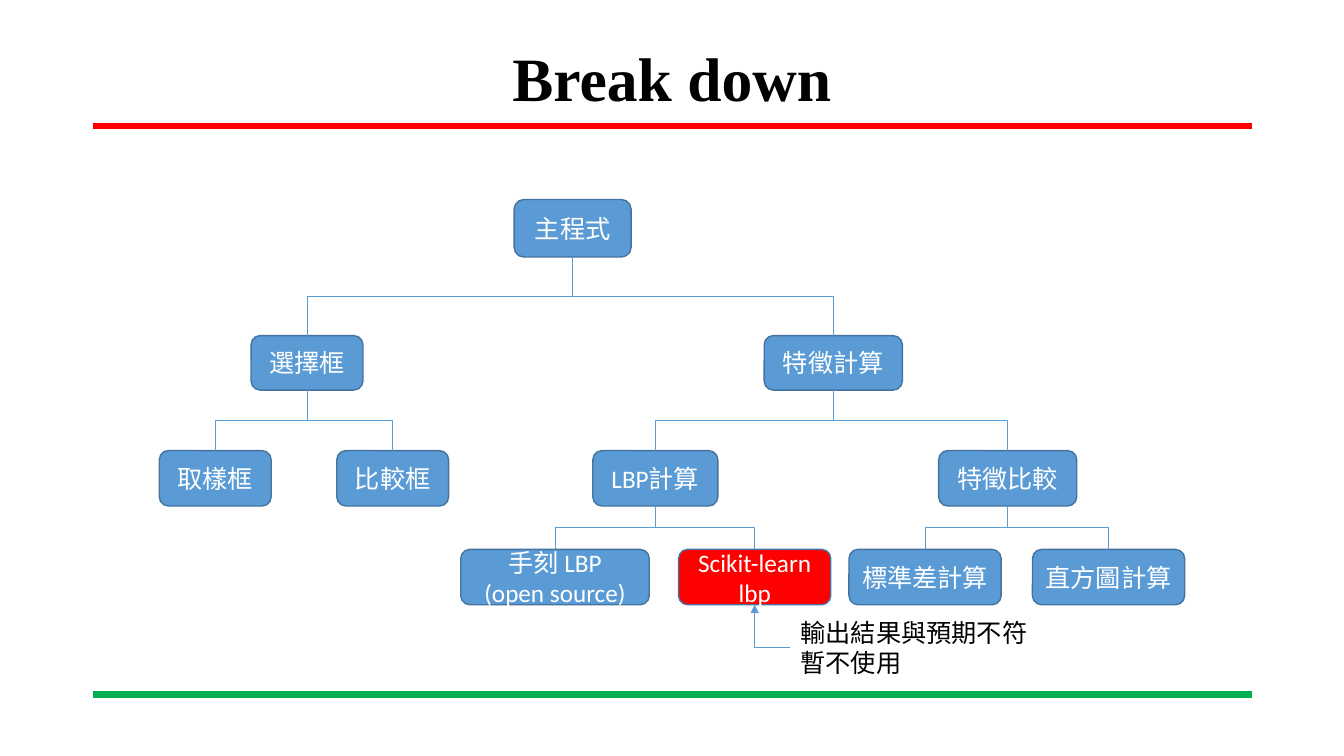
"""Builds the "Break down" slide: a program tree with one annotated node."""
import lxml.etree
import pptx
import pptx.dml.color
import pptx.enum.shapes
import pptx.enum.text
import pptx.oxml.ns
import pptx.util

Inches = pptx.util.Inches
Pt = pptx.util.Pt
qn = pptx.oxml.ns.qn
SHAPE = pptx.enum.shapes.MSO_SHAPE
CONNECTOR = pptx.enum.shapes.MSO_CONNECTOR
ALIGN = pptx.enum.text.PP_ALIGN
ANCHOR = pptx.enum.text.MSO_ANCHOR
AUTO_SIZE = pptx.enum.text.MSO_AUTO_SIZE

TITLE = "Break down"
NOTE = ["輸出結果與預期不符", "暫不使用"]
NOTED_NODE = "sklearn"

# key: (lines, parent, level, left, width)
NODES = {
    "main": (["主程式"], None, 0, 5.1, 1.16),
    "select": (["選擇框"], "main", 1, 2.49, 1.11),
    "feature": (["特徵計算"], "main", 1, 7.58, 1.37),
    "sample": (["取樣框"], "select", 2, 1.58, 1.11),
    "compare": (["比較框"], "select", 2, 3.34, 1.11),
    "lbp": (["LBP計算"], "feature", 2, 5.88, 1.24),
    "match": (["特徵比較"], "feature", 2, 9.31, 1.37),
    "handmade": (["手刻 LBP", "(open source)"], "lbp", 3, 4.57, 1.87),
    "sklearn": (["Scikit-learn", "lbp"], "lbp", 3, 6.73, 1.51),
    "deviation": (["標準差計算"], "match", 3, 8.42, 1.51),
    "histogram": (["直方圖計算"], "match", 3, 10.24, 1.51),
}
LEVELS = [(1.98, 0.57), (3.33, 0.54), (4.47, 0.55), (5.45, 0.55)]
RULES = [(1.25, "top_rule"), (6.89, "bottom_rule")]
RULE_ENDS = (0.92, 12.42)
TITLE_BOX = (2, 0.11, 9.33, 1.4)
NOTE_BOX = (7.84, 6.07, 2.58, 0.71)

THEME = {
    "node": "5B9BD5", "edge": "43739E", "alert": "FF0000",
    "light": "FFFFFF", "dark": "000000",
    "top_rule": "FF0000", "bottom_rule": "00B050",
    "title_font": "Times New Roman", "font": "Calibri", "cjk_font": "Noto Sans CJK SC",
    "title_size": 44, "body_size": 18,
    "rule_width": 4.5, "edge_width": 1, "link_width": 0.5,
}


def rgb(name):
    return pptx.dml.color.RGBColor.from_string(THEME[name])


def write(frame, lines, size="body_size", font="font", color="dark", bold=False,
          align=ALIGN.LEFT, anchor=ANCHOR.TOP, spacing=None):
    frame.word_wrap = True
    frame.vertical_anchor = anchor
    for index, line in enumerate(lines):
        paragraph = frame.paragraphs[0] if index == 0 else frame.add_paragraph()
        paragraph.alignment = align
        paragraph.line_spacing = spacing
        run = paragraph.add_run()
        run.text = line
        run.font.size = Pt(THEME[size])
        run.font.bold = bold
        run.font.color.rgb = rgb(color)
        run.font.name = THEME[font]
        east_asian = lxml.etree.SubElement(run.font._element, qn("a:ea"))
        east_asian.set("typeface", THEME["cjk_font"])


def add_line(slide, kind, start, end, color, width):
    line = slide.shapes.add_connector(kind, *map(Inches, (*start, *end)))
    line.line.color.rgb = rgb(color)
    line.line.width = Pt(THEME[width])
    lxml.etree.SubElement(line._element.spPr, qn("a:effectLst"))
    return line


def turn(line, center, size, **attributes):
    """Places an elbow by its unrotated box and sets its rotation or flip."""
    line.left, line.top = (Inches(c - s / 2) for c, s in zip(center, size))
    line.width, line.height = map(Inches, size)
    transform = line._element.spPr.find(qn("a:xfrm"))
    for name in ("rot", "flipH", "flipV"):
        transform.attrib.pop(name, None)
    for name, value in attributes.items():
        transform.set(name, value)


def add_node(slide, key):
    lines, _, level, left, width = NODES[key]
    top, height = LEVELS[level]
    node = slide.shapes.add_shape(SHAPE.ROUNDED_RECTANGLE, *map(Inches, (left, top, width, height)))
    node.shadow.inherit = False
    node.fill.solid()
    node.fill.fore_color.rgb = rgb("alert" if key == NOTED_NODE else "node")
    node.line.color.rgb = rgb("edge")
    node.line.width = Pt(THEME["edge_width"])
    write(node.text_frame, lines, color="light", align=ALIGN.CENTER, anchor=ANCHOR.MIDDLE)
    return node


def port(key, bottom):
    _, _, level, left, width = NODES[key]
    top, height = LEVELS[level]
    return left + width / 2, top + height * bottom


def add_branch(slide, parent, child, shapes):
    (x1, y1), (x2, y2) = start, end = port(parent, 1), port(child, 0)
    branch = add_line(slide, CONNECTOR.ELBOW, start, end, "node", "link_width")
    branch.begin_connect(shapes[parent], 2)
    branch.end_connect(shapes[child], 0)
    way = {"rot": "5400000"} if x2 < x1 else {"rot": "16200000", "flipH": "1"}
    turn(branch, ((x1 + x2) / 2, (y1 + y2) / 2), (y2 - y1, abs(x2 - x1)), **way)


def add_note(slide, target):
    note = slide.shapes.add_textbox(*map(Inches, NOTE_BOX))
    write(note.text_frame, NOTE, font="cjk_font")
    note.text_frame.auto_size = AUTO_SIZE.SHAPE_TO_FIT_TEXT
    left, top, _, height = NOTE_BOX
    (x1, y1), (x2, y2) = start, end = (left, top + height / 2), port(NOTED_NODE, 1)
    arrow = add_line(slide, CONNECTOR.ELBOW, start, end, "node", "link_width")
    arrow.begin_connect(note, 1)
    arrow.end_connect(target, 2)
    arrow._element.spPr.find(qn("a:prstGeom")).set("prst", "bentConnector2")
    turn(arrow, ((x1 + x2) / 2, (y1 + y2) / 2), (x1 - x2, y1 - y2), rot="10800000")
    head = lxml.etree.SubElement(arrow.line._get_or_add_ln(), qn("a:tailEnd"))
    head.set("type", "triangle")


def main():
    deck = pptx.Presentation()
    deck.slide_width, deck.slide_height = Inches(13.33), Inches(7.5)
    slide = deck.slides.add_slide(deck.slide_layouts[6])
    for y, color in RULES:
        add_line(slide, CONNECTOR.STRAIGHT, (RULE_ENDS[0], y), (RULE_ENDS[1], y), color, "rule_width")
    title = slide.shapes.add_textbox(*map(Inches, TITLE_BOX))
    write(title.text_frame, [TITLE], size="title_size", font="title_font", bold=True,
          align=ALIGN.CENTER, anchor=ANCHOR.MIDDLE, spacing=0.9)
    shapes = {key: add_node(slide, key) for key in NODES}
    for key, (_, parent, *_) in NODES.items():
        if parent:
            add_branch(slide, parent, key, shapes)
    add_note(slide, shapes[NOTED_NODE])
    deck.save("out.pptx")


if __name__ == "__main__":
    main()
